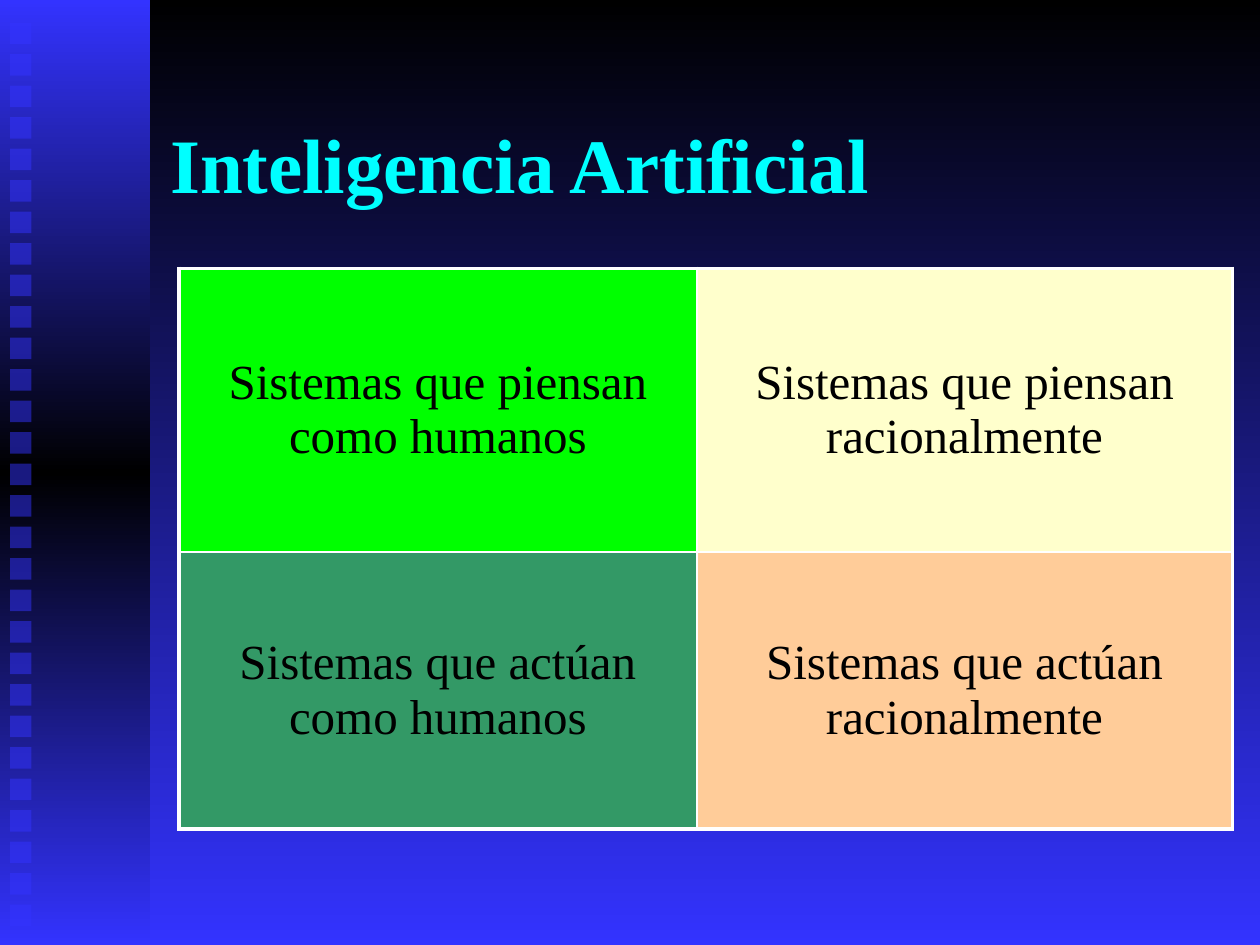
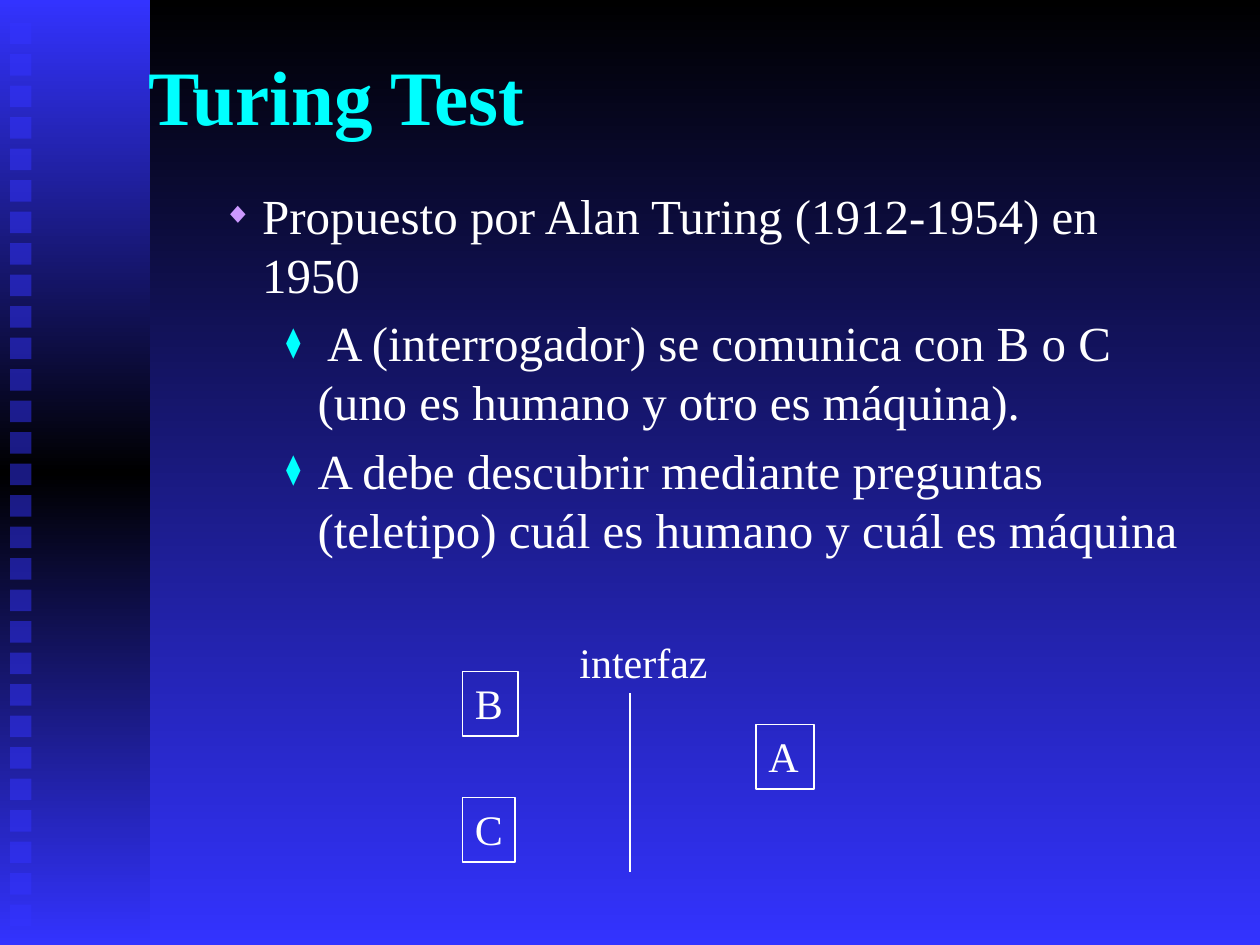
"""Builds two slides on artificial intelligence and the Turing test."""
from typing import NamedTuple

import lxml.etree
import pptx
import pptx.dml.color
import pptx.enum.shapes
import pptx.enum.text
import pptx.oxml.ns
import pptx.util

Inches = pptx.util.Inches
Pt = pptx.util.Pt
qn = pptx.oxml.ns.qn
SubElement = lxml.etree.SubElement

FONT = "Times New Roman"
BLUE, BLACK, WHITE, CYAN, LILAC = "3333FF", "000000", "FFFFFF", "00FFFF", "CC99FF"
OUTER_WIDTH, INNER_WIDTH = 2.25, 1


class Box(NamedTuple):
    left: float
    top: float
    width: float
    height: float

    def lengths(self) -> list:
        return [Inches(v) for v in self]


class Quadrant(NamedTuple):
    text: str
    fill: str


class Bullet(NamedTuple):
    char: str
    color: str
    margin: float
    hanging: float


class Item(NamedTuple):
    text: str
    level: int


class Label(NamedTuple):
    text: str
    box: Box
    framed: bool


QUADRANTS = [
    [Quadrant("Sistemas que piensan como humanos", "00FF00"),
     Quadrant("Sistemas que piensan racionalmente", "FFFFCC")],
    [Quadrant("Sistemas que actúan como humanos", "339966"),
     Quadrant("Sistemas que actúan racionalmente", "FFCC99")],
]
BULLETS = [Bullet("◆", LILAC, 0.81, 0.31), Bullet("⧫", CYAN, 1.25, 0.25)]
ITEMS = [
    Item("Propuesto por Alan Turing (1912-1954) en 1950", 0),
    Item(" A (interrogador) se comunica con B o C (uno es humano y otro es máquina).", 1),
    Item("A debe descubrir mediante preguntas (teletipo) cuál es humano y cuál es máquina", 1),
]
LABELS = [
    Label("B", Box(3.67, 5.33, 0.44, 0.51), True),
    Label("C", Box(3.67, 6.33, 0.42, 0.51), True),
    Label("A", Box(6, 5.75, 0.46, 0.51), True),
    Label("interfaz", Box(4.5, 5, 1.22, 0.5), False),
]


def rgb(color: str) -> pptx.dml.color.RGBColor:
    return pptx.dml.color.RGBColor.from_string(color)


def format_runs(p, size: float, color: str, bold: bool = False) -> None:
    for r in p.runs:
        r.font.name = FONT
        r.font.size = Pt(size)
        r.font.bold = bold
        r.font.color.rgb = rgb(color)


def place(sp, box: Box) -> None:
    sp.left, sp.top, sp.width, sp.height = box.lengths()


def fill_gradient(fill, owner, colors: list[str]) -> None:
    fill.gradient()
    fill.gradient_angle = 270
    stops = next(owner.iter(qn("a:gsLst")))
    for stop in list(stops):
        stops.remove(stop)
    for i, color in enumerate(colors):
        stop = SubElement(stops, qn("a:gs"), pos=str(100000 * i // (len(colors) - 1)))
        SubElement(stop, qn("a:srgbClr"), val=color)


def add_rect(shapes, box: Box):
    sp = shapes.add_shape(pptx.enum.shapes.MSO_SHAPE.RECTANGLE, *box.lengths())
    sp.shadow.inherit = False
    sp.line.fill.background()
    return sp


def decorate_master(master, slide) -> None:
    fill_gradient(master.background.fill, master.element, [BLACK, BLUE])
    group = slide.shapes.add_group_shape()
    band = add_rect(group.shapes, Box(0, 0, 1.19, 7.5))
    fill_gradient(band.fill, band.element, [BLUE, BLACK, BLUE])
    for i in range(29):
        square = add_rect(group.shapes, Box(0.08, 0.18 + 0.25 * i, 0.17, 0.17))
        square.fill.solid()
        square.fill.fore_color.rgb = rgb(BLUE)
        SubElement(next(square.element.iter(qn("a:srgbClr"))), qn("a:alpha"), val="50000")
    master.shapes.element.insert(2, group.element)


def set_title(slide, text: str, box: Box) -> None:
    title = slide.shapes.title
    place(title, box)
    tf = title.text_frame
    tf.text = text
    tf.auto_size = pptx.enum.text.MSO_AUTO_SIZE.NONE
    tf.vertical_anchor = pptx.enum.text.MSO_ANCHOR.MIDDLE
    p = tf.paragraphs[0]
    p.alignment = pptx.enum.text.PP_ALIGN.LEFT
    format_runs(p, 44, CYAN, bold=True)


def set_borders(cell, widths: dict[str, float]) -> None:
    tc_pr = cell._tc.get_or_add_tcPr()
    for i, (side, width) in enumerate(widths.items()):
        ln = lxml.etree.Element(qn(f"a:ln{side}"), w=str(Pt(width)))
        SubElement(SubElement(ln, qn("a:solidFill")), qn("a:srgbClr"), val=WHITE)
        tc_pr.insert(i, ln)


def add_quadrants(slide) -> None:
    table = slide.shapes.add_table(2, 2, *Box(1.42, 2.13, 8.36, 4.45).lengths()).table
    table.first_row = table.horz_banding = False
    for column, width in zip(table.columns, (4.11, 4.25)):
        column.width = Inches(width)
    for row, height in zip(table.rows, (2.25, 2.2)):
        row.height = Inches(height)
    for i, quadrants in enumerate(QUADRANTS):
        for j, quadrant in enumerate(quadrants):
            cell = table.cell(i, j)
            cell.text = quadrant.text
            cell.vertical_anchor = pptx.enum.text.MSO_ANCHOR.MIDDLE
            cell.fill.solid()
            cell.fill.fore_color.rgb = rgb(quadrant.fill)
            p = cell.text_frame.paragraphs[0]
            p.alignment = pptx.enum.text.PP_ALIGN.CENTER
            format_runs(p, 28, BLACK)
            outer = {"L": j == 0, "R": j == 1, "T": i == 0, "B": i == 1}
            set_borders(cell, {side: OUTER_WIDTH if is_outer else INNER_WIDTH
                               for side, is_outer in outer.items()})


def set_bullet(p, bullet: Bullet) -> None:
    p_pr = p._p.get_or_add_pPr()
    p_pr.set("marL", str(Inches(bullet.margin)))
    p_pr.set("indent", str(-Inches(bullet.hanging)))
    SubElement(SubElement(p_pr, qn("a:buClr")), qn("a:srgbClr"), val=bullet.color)
    SubElement(p_pr, qn("a:buSzPct"), val="60000")
    SubElement(p_pr, qn("a:buFont"), typeface=FONT)
    SubElement(p_pr, qn("a:buChar"), char=bullet.char)


def fill_body(slide) -> None:
    body = slide.placeholders[1]
    place(body, Box(1.17, 1.42, 8.5, 3.17))
    tf = body.text_frame
    tf.auto_size = pptx.enum.text.MSO_AUTO_SIZE.NONE
    tf.text = "\n".join(item.text for item in ITEMS)
    for i, (p, item) in enumerate(zip(tf.paragraphs, ITEMS)):
        p.level = item.level
        set_bullet(p, BULLETS[item.level])
        p.space_before = Pt(5.6 if i else 0)
        format_runs(p, 28, WHITE)


def add_label(slide, label: Label) -> None:
    sp = slide.shapes.add_textbox(*label.box.lengths())
    tf = sp.text_frame
    tf.text = label.text
    tf.word_wrap = False
    tf.auto_size = pptx.enum.text.MSO_AUTO_SIZE.SHAPE_TO_FIT_TEXT
    format_runs(tf.paragraphs[0], 24, WHITE)
    if label.framed:
        sp.line.color.rgb = rgb(WHITE)
        sp.line.width = Pt(1)


def add_interface_line(slide) -> None:
    line = slide.shapes.add_connector(
        pptx.enum.shapes.MSO_CONNECTOR.STRAIGHT,
        Inches(5), Inches(5.5), Inches(5), Inches(6.92))
    line.line.color.rgb = rgb(WHITE)
    line.line.width = Pt(1)
    SubElement(line.element.spPr, qn("a:effectLst"))


def main() -> None:
    prs = pptx.Presentation()
    prs.slide_width, prs.slide_height = Inches(10), Inches(7.5)

    slide = prs.slides.add_slide(prs.slide_layouts[5])
    decorate_master(prs.slide_master, slide)
    set_title(slide, "Inteligencia Artificial", Box(1.25, 0.67, 8.5, 1.25))
    add_quadrants(slide)

    slide = prs.slides.add_slide(prs.slide_layouts[1])
    set_title(slide, "Turing Test", Box(1.08, 0.42, 8.5, 0.67))
    fill_body(slide)
    for label in LABELS:
        add_label(slide, label)
    add_interface_line(slide)

    prs.save("out.pptx")


if __name__ == "__main__":
    main()
